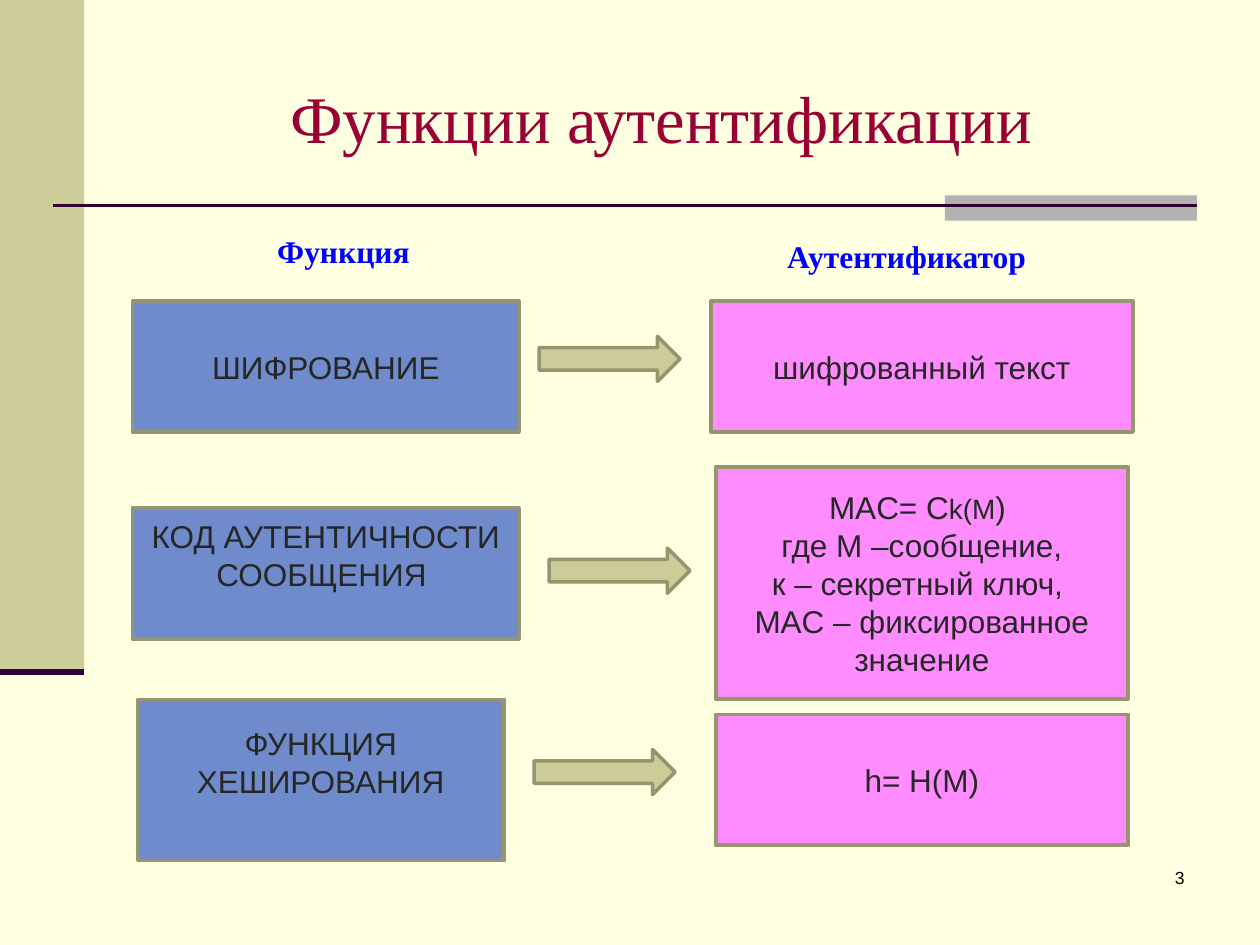
from lxml.etree import SubElement
from pptx import Presentation
from pptx.dml.color import RGBColor
from pptx.enum.shapes import MSO_CONNECTOR, MSO_SHAPE
from pptx.enum.text import MSO_ANCHOR, PP_ALIGN
from pptx.oxml.ns import qn
from pptx.util import Cm, Pt

COLORS = {
    "background": "FFFFE1",
    "olive": "CCCC99",
    "gray": "B2B2B2",
    "rule": "330033",
    "title": "990033",
    "function": "6F8BCB",
    "authenticator": "FF8CFF",
    "border": "95956F",
    "text": "262626",
    "heading": "0000FF",
    "number": "000000",
}
INSET = 0.13
RAISED = 0.86  # bottom inset that lifts the text by half a line


def rgb(name):
    return RGBColor.from_string(COLORS[name])


def add_shape(slide, kind, box, fill, border=None):
    sp = slide.shapes.add_shape(kind, *map(Cm, box))
    sp.shadow.inherit = False
    sp.fill.solid()
    sp.fill.fore_color.rgb = rgb(fill)
    if border:
        sp.line.color.rgb = rgb(border)
        sp.line.width = Pt(2)
    else:
        sp.line.fill.background()
    return sp


def add_rule(slide, x1, x2, y, width):
    line = slide.shapes.add_connector(
        MSO_CONNECTOR.STRAIGHT, Cm(x1), Cm(y), Cm(x2), Cm(y))
    line.line.color.rgb = rgb("rule")
    line.line.width = Pt(width)
    SubElement(line._element.spPr, qn("a:effectLst"))


def style(p, size, color, font="Arial", align=PP_ALIGN.CENTER, bold=False):
    p.alignment = align
    p.font.size = Pt(size)
    p.font.name = font
    p.font.bold = bold
    p.font.color.rgb = rgb(color)


def add_label(slide, box, text, size, color, anchor=MSO_ANCHOR.TOP, **kwargs):
    tf = slide.shapes.add_textbox(*map(Cm, box)).text_frame
    tf.word_wrap = True
    tf.vertical_anchor = anchor
    tf.text = text
    style(tf.paragraphs[0], size, color, **kwargs)


def add_process(slide, box, fill, lines, bottom=INSET):
    """Each line is a list of (text, size) runs."""
    sp = add_shape(slide, MSO_SHAPE.FLOWCHART_PROCESS, box, fill, "border")
    tf = sp.text_frame
    tf.word_wrap = True
    tf.vertical_anchor = MSO_ANCHOR.MIDDLE
    tf.margin_bottom = Cm(bottom)
    for i, runs in enumerate(lines):
        p = tf.add_paragraph() if i else tf.paragraphs[0]
        style(p, 18, "text")
        for text, size in runs:
            r = p.add_run()
            r.text = text
            if size != 18:
                r.font.size = Pt(size)


def add_frame(slide):
    add_shape(slide, MSO_SHAPE.RECTANGLE, (0, 0, 1.7, 13.54), "olive")
    add_shape(slide, MSO_SHAPE.RECTANGLE, (19.05, 3.94, 5.08, 0.51), "gray")
    add_rule(slide, 1.06, 24.13, 4.14, 1.5)
    add_rule(slide, 0, 1.7, 13.54, 3.5)


def main():
    prs = Presentation()
    prs.slide_width, prs.slide_height = Cm(25.4), Cm(19.05)
    slide = prs.slides.add_slide(prs.slide_layouts[6])
    slide.background.fill.solid()
    slide.background.fill.fore_color.rgb = rgb("background")

    # Frame, title and page number
    add_frame(slide)
    add_label(slide, (2.54, 0.76, 21.59, 3.18), "Функции аутентификации", 38,
              "title", MSO_ANCHOR.MIDDLE, font="Times New Roman")
    add_label(slide, (18.85, 17.35, 5.28, 1.27), "3", 10, "number",
              align=PP_ALIGN.RIGHT)

    # Functions, left column
    for box, text, bottom in (
        ((2.67, 6.07, 7.8, 2.64), "ШИФРОВАНИЕ", INSET),
        ((2.67, 10.24, 7.8, 2.64), "КОД АУТЕНТИЧНОСТИ СООБЩЕНИЯ ", RAISED),
        ((2.77, 14.1, 7.39, 3.25), "ФУНКЦИЯ ХЕШИРОВАНИЯ", RAISED),
    ):
        add_process(slide, box, "function", [[(text, 18)]], bottom)

    # Authenticators, right column
    mac = [
        [("MAC= C", 18), ("k(M", 16), (") ", 18)],
        [("где М –сообщение,", 18)],
        [("к – секретный ключ, ", 18)],
        [("MAC – фиксированное значение", 18)],
    ]
    for box, lines in (
        ((14.33, 6.07, 8.51, 2.64), [[("шифрованный текст", 18)]]),
        ((14.43, 9.42, 8.31, 4.67), mac),
        ((14.43, 14.4, 8.31, 2.64), [[("h= H(M)", 18)]]),
    ):
        add_process(slide, box, "authenticator", lines)

    # Arrows from function to authenticator
    for x, y in ((10.87, 6.78), (11.07, 11.05), (10.77, 15.11)):
        add_shape(slide, MSO_SHAPE.RIGHT_ARROW, (x, y, 2.84, 0.91),
                  "olive", "border")

    # Column headings
    for x, y, text in ((2.57, 4.55, "Функция"),
                       (13.92, 4.65, "Аутентификатор")):
        add_label(slide, (x, y, 8.71, 1.02), text, 18, "heading",
                  font="Times New Roman", bold=True)

    prs.save("out.pptx")


if __name__ == "__main__":
    main()
